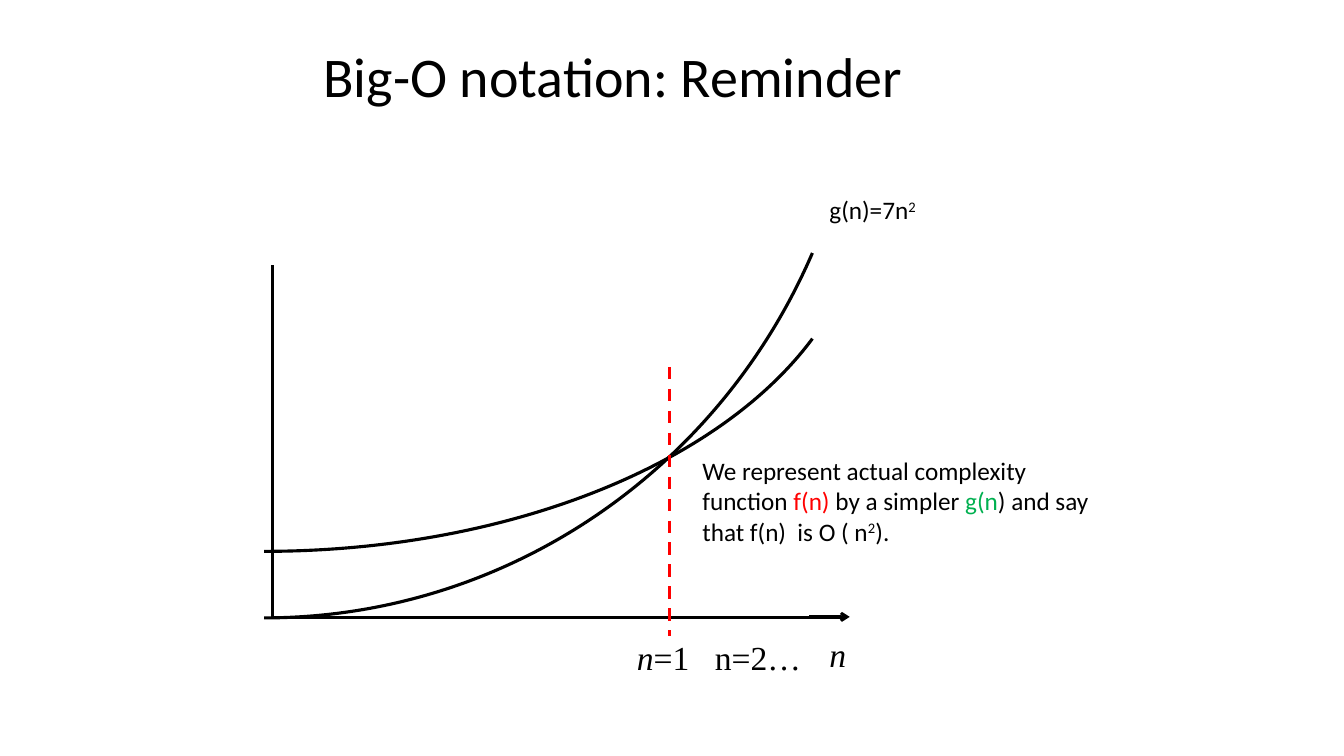
import pptx
import pptx.util
import pptx.dml.color
import pptx.enum.dml
import pptx.enum.shapes
import pptx.enum.text
import pptx.oxml
import pptx.oxml.ns

COLORS = {"ink": "000000", "f": "FF0000", "g": "00B050"}
COLS, ROWS = 40, 30


class Deck:
    """Holds the style and the current slide; lengths are grid columns and rows."""
    sans, serif = "Calibri", "Times New Roman"

    def __init__(self):
        self.prs = pptx.Presentation()
        self.prs.slide_width = pptx.util.Inches(13.33)
        self.prs.slide_height = pptx.util.Inches(7.5)
        self.slide = self.prs.slides.add_slide(self.prs.slide_layouts[5])

    def x(self, col):
        return round(self.prs.slide_width * col / COLS)

    def y(self, row):
        return round(self.prs.slide_height * row / ROWS)

    def points(self, *cells):
        return [(self.x(c), self.y(r)) for c, r in cells]

    def rgb(self, name):
        return pptx.dml.color.RGBColor.from_string(COLORS[name])

    def add_runs(self, sp, runs, size, font):
        """Each run is (text, options): color, italic, sup."""
        tf = sp.text_frame
        p = tf.paragraphs[0]
        p.alignment = pptx.enum.text.PP_ALIGN.LEFT
        for text, opts in runs:
            r = p.add_run()
            r.text = text
            r.font.name = font
            r.font.size = pptx.util.Pt(size)
            r.font.italic = opts.get("italic", False)
            r.font.color.rgb = self.rgb(opts.get("color", "ink"))
            if opts.get("sup"):
                r.font._element.set("baseline", "30000")
        return p

    def title(self, text, col, row, width, height):
        sp = self.slide.shapes.title
        sp.left, sp.top = self.x(col), self.y(row)
        sp.width, sp.height = self.x(width), self.y(height)
        tf = sp.text_frame
        tf.word_wrap = True
        tf.auto_size = pptx.enum.text.MSO_AUTO_SIZE.NONE
        tf.vertical_anchor = pptx.enum.text.MSO_ANCHOR.MIDDLE
        self.add_runs(sp, [(text, {})], 40, self.sans).line_spacing = 0.9

    def text(self, runs, col, row, width, height, size=18, font=sans, wrap=True, tab=None):
        sp = self.slide.shapes.add_textbox(
            self.x(col), self.y(row), self.x(width), self.y(height))
        sp.text_frame.word_wrap = wrap
        sp.text_frame.auto_size = pptx.enum.text.MSO_AUTO_SIZE.SHAPE_TO_FIT_TEXT
        p = self.add_runs(sp, runs, size, font)
        if tab:
            p._p.get_or_add_pPr().append(pptx.oxml.parse_xml(
                f'<a:tabLst {pptx.oxml.ns.nsdecls("a")}>'
                f'<a:tab pos="{self.x(tab)}" algn="l"/></a:tabLst>'))

    def polyline(self, *cells):
        start, *rest = self.points(*cells)
        fb = self.slide.shapes.build_freeform(*start)
        fb.add_line_segments(rest, close=False)
        sp = fb.convert_to_shape()
        sp.shadow.inherit = False
        sp.fill.background()
        sp.line.color.rgb = self.rgb("ink")
        sp.line.width = pptx.util.Pt(2.25)
        return sp

    def curve(self, start, control1, control2, end):
        """Turns a straight segment into a cubic Bezier."""
        sp = self.polyline(start, end)
        pts = "".join(f'<a:pt x="{px - sp.left}" y="{py - sp.top}"/>'
                      for px, py in self.points(control1, control2, end))
        segment = sp._element.xpath(".//a:lnTo")[0]
        segment.getparent().replace(segment, pptx.oxml.parse_xml(
            f'<a:cubicBezTo {pptx.oxml.ns.nsdecls("a")}>{pts}</a:cubicBezTo>'))

    def line(self, start, end, color="ink", width=2.25, dash=False, arrow=False):
        (x1, y1), (x2, y2) = self.points(start, end)
        sp = self.slide.shapes.add_connector(
            pptx.enum.shapes.MSO_CONNECTOR.STRAIGHT, x1, y1, x2, y2)
        sp.line.color.rgb = self.rgb(color)
        sp.line.width = pptx.util.Pt(width)
        if dash:
            sp.line.dash_style = pptx.enum.dml.MSO_LINE.DASH
        ns = pptx.oxml.ns.nsdecls("a")
        if arrow:
            sp.line._get_or_add_ln().append(
                pptx.oxml.parse_xml(f'<a:tailEnd {ns} type="arrow"/>'))
        sp._element.spPr.append(pptx.oxml.parse_xml(f"<a:effectLst {ns}/>"))


def main():
    deck = Deck()
    deck.title("Big-O notation: Reminder", 9.33, -0.04, 28.23, 6.4)

    # Axes and the two growth curves
    origin_x, base_y = 8.1, 24.52
    curve_x, bend1_x, bend2_x, end_x = 7.86, 14.94, 21.33, 24.18
    deck.polyline((origin_x, 10.52), (origin_x, base_y), (25.02, base_y))
    for start_y, bend_y, end_y in ((21.88, 18.56, 13.44), (base_y, 18.84, 10.04)):
        deck.curve((curve_x, start_y), (bend1_x, start_y),
                   (bend2_x, bend_y), (end_x, end_y))

    # Crossing point and axis arrow
    deck.line((19.92, 14.56), (19.92, 25.24), color="f", dash=True)
    deck.line((24.09, 24.48), (25.29, 24.48), width=2, arrow=True)

    # Axis labels
    label_x = 24.39
    deck.text([("n", {"italic": True}), ("=1\tn=2…", {})],
              18.66, 25.08, 5.73, 2, size=24, font=deck.serif, tab=2.32)
    deck.text([("n", {"italic": True})],
              label_x, 24.96, 1.11, 2, size=24, font=deck.serif, wrap=False)

    # Curve label and explanation
    square = ("2", {"sup": True})
    deck.text([("g(n)=7n", {}), square], label_x, 7.52, 5.67, 1.6)
    deck.text([("We represent actual complexity function ", {}),
               ("f(n)", {"color": "f"}),
               (" by a simpler ", {}),
               ("g(n", {"color": "g"}),
               (") and say that f(n)  is O ( n", {}),
               square,
               (").", {})], 20.61, 17.88, 12.45, 4.04)

    deck.prs.save("out.pptx")


if __name__ == "__main__":
    main()
